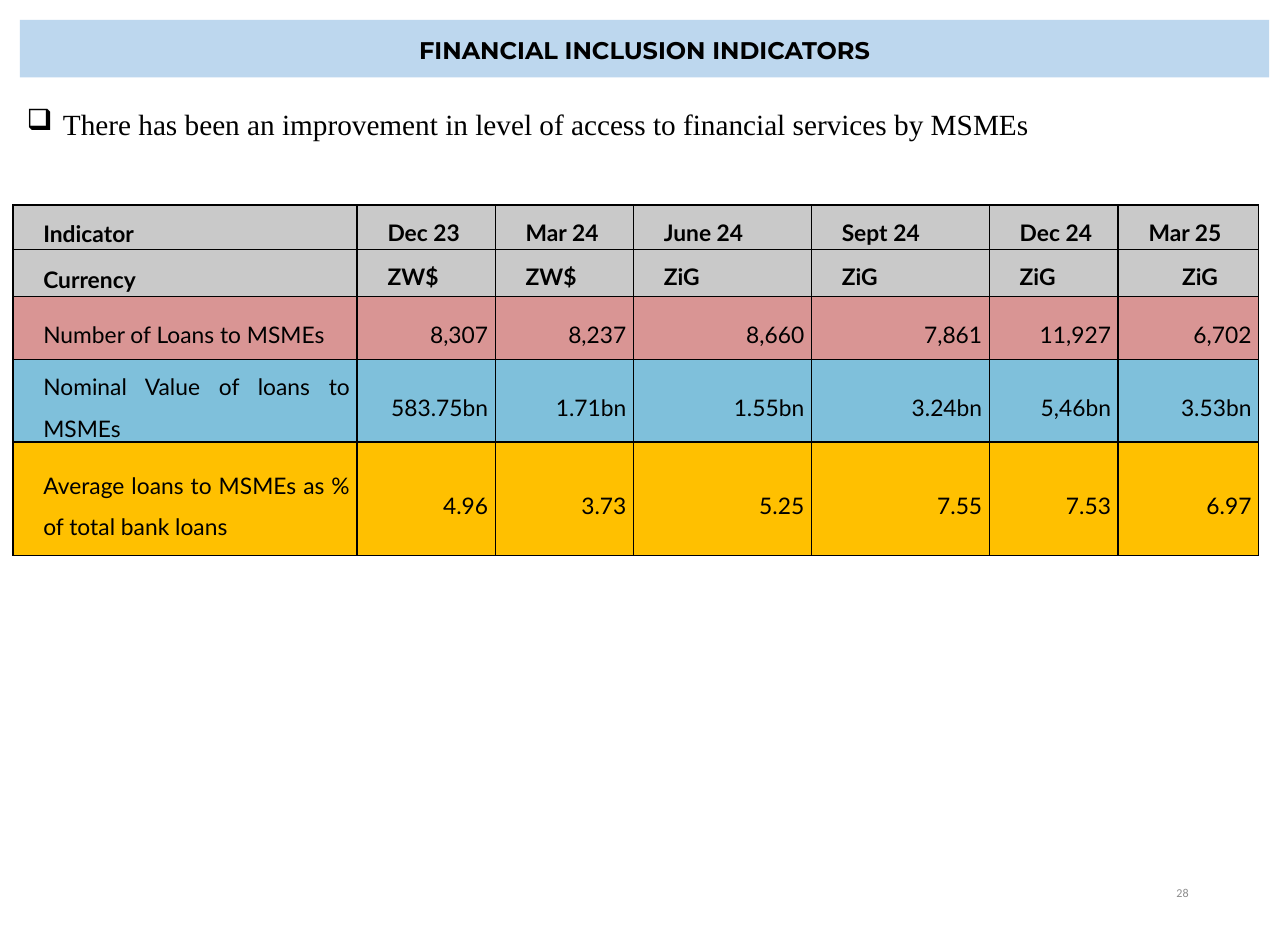
from dataclasses import dataclass

from lxml import etree
from pptx import Presentation
from pptx.dml.color import RGBColor
from pptx.enum.shapes import MSO_SHAPE
from pptx.enum.text import MSO_ANCHOR, PP_ALIGN
from pptx.oxml.ns import qn
from pptx.util import Inches, Pt

RECTANGLE = MSO_SHAPE.RECTANGLE
TOP, MIDDLE = MSO_ANCHOR.TOP, MSO_ANCHOR.MIDDLE
LEFT, CENTER = PP_ALIGN.LEFT, PP_ALIGN.CENTER
RIGHT, JUSTIFY = PP_ALIGN.RIGHT, PP_ALIGN.JUSTIFY


@dataclass(frozen=True)
class Theme:
    """Colours, fonts and type sizes of the slide."""
    black: str = "000000"
    muted: str = "8C8C8C"
    banner: str = "BDD7EE"
    header: str = "C9C9C9"
    loans: str = "D99594"
    value: str = "7FC0DB"
    share: str = "FFC000"
    title_font: str = "Montserrat"
    body_font: str = "Times New Roman"
    table_font: str = "Lato"
    number_font: str = "Calibri"
    title_size: float = 14.8
    body_size: float = 18
    table_size: float = 14
    number_size: float = 7.4


THEME = Theme()
COLUMN_WIDTHS = (2.94, 1.18, 1.18, 1.52, 1.52, 1.1, 1.2)
ROWS = (
    (0.38, THEME.header, ("Indicator", "Dec 23", "Mar 24", "June 24", "Sept 24", "Dec 24", "Mar 25")),
    (0.4, THEME.header, ("Currency", "ZW$", "ZW$", "ZiG", "ZiG", "ZiG", "ZiG")),
    (0.54, THEME.loans, ("Number of Loans to MSMEs", "8,307", "8,237", "8,660", "7,861", "11,927", "6,702")),
    (0.63, THEME.value, ("Nominal Value of loans to MSMEs", "583.75bn", "1.71bn", "1.55bn", "3.24bn",
                         "5,46bn", "3.53bn")),
    (0.97, THEME.share, ("Average loans to MSMEs as % of total bank loans", "4.96", "3.73", "5.25", "7.55",
                         "7.53", "6.97")),
)
HEADER_ROWS = 2


def set_fill(target, color):
    """Give a shape or cell a solid fill."""
    target.fill.solid()
    target.fill.fore_color.rgb = RGBColor.from_string(color)


def write(p, text, font, size, color=THEME.black, bold=False, align=LEFT, spacing=None, after=None):
    """Add one formatted run to a paragraph."""
    p.alignment = align
    if spacing is not None:
        p.line_spacing = spacing
    if after is not None:
        p.space_after = Pt(after)
    r = p.add_run()
    r.text = text
    r.font.name = font
    r.font.size = Pt(size)
    r.font.bold = bold
    r.font.color.rgb = RGBColor.from_string(color)


def indent(p, left, first=0, bullet=None):
    """Set a paragraph's indents and optional bullet."""
    pPr = p._p.get_or_add_pPr()
    pPr.set("marL", str(Inches(left)))
    pPr.set("indent", str(Inches(first)))
    if bullet:
        etree.SubElement(pPr, qn("a:buChar"), char=bullet)


def add_banner(s, text):
    """Add the title banner."""
    sp = s.shapes.add_shape(RECTANGLE, Inches(0.17), Inches(0.17), Inches(10.67), Inches(0.49))
    sp.shadow.inherit = False
    set_fill(sp, THEME.banner)
    sp.line.fill.background()
    tf = sp.text_frame
    tf.word_wrap = True
    tf.vertical_anchor = MIDDLE
    tf.margin_left = tf.margin_right = Inches(0.08)
    tf.margin_top = tf.margin_bottom = Inches(0.04)
    write(tf.paragraphs[0], text, THEME.title_font, THEME.title_size,
          bold=True, align=CENTER, spacing=1.1, after=1.8)


def add_text(s, left, top, width, height, anchor=TOP):
    """Add a wrapping text box and return its first paragraph."""
    tf = s.shapes.add_textbox(Inches(left), Inches(top), Inches(width), Inches(height)).text_frame
    tf.word_wrap = True
    tf.vertical_anchor = anchor
    return tf.paragraphs[0]


def add_borders(cell):
    """Draw a thin line on every side of a cell."""
    tcPr = cell._tc.get_or_add_tcPr()
    for side in ("lnL", "lnR", "lnT", "lnB"):
        ln = etree.SubElement(tcPr, qn(f"a:{side}"), w=str(Pt(1)))
        fill = etree.SubElement(ln, qn("a:solidFill"))
        etree.SubElement(fill, qn("a:srgbClr"), val=THEME.black)


def cell_align(row, col):
    """Return the text alignment for a table position."""
    if row == 1:
        return CENTER if col == len(COLUMN_WIDTHS) - 1 else LEFT
    return JUSTIFY if row == 0 or col == 0 else RIGHT


def fill_cell(cell, row, col, text, color):
    """Format one table cell and write its text."""
    add_borders(cell)
    set_fill(cell, color)
    cell.margin_left = cell.margin_right = Inches(0.06)
    cell.margin_top = cell.margin_bottom = 0
    is_header = row < HEADER_ROWS
    cell.vertical_anchor = TOP if is_header and col else MIDDLE
    p = cell.text_frame.paragraphs[0]
    indent(p, 0.2)
    write(p, text, THEME.table_font, THEME.table_size, bold=is_header,
          align=cell_align(row, col), spacing=1.51, after=1.2)


def add_indicator_table(s):
    """Add the table of lending indicators."""
    table = s.shapes.add_table(len(ROWS), len(COLUMN_WIDTHS), Inches(0.11), Inches(1.75),
                               Inches(10.65), Inches(2.94)).table
    table.first_row = table.horz_banding = False
    for column, width in zip(table.columns, COLUMN_WIDTHS):
        column.width = Inches(width)
    for row, (height, color, texts) in enumerate(ROWS):
        table.rows[row].height = Inches(height)
        for col, text in enumerate(texts):
            fill_cell(table.cell(row, col), row, col, text, color)


def main():
    """Build and save the slide."""
    prs = Presentation()
    prs.slide_width, prs.slide_height = Inches(11), Inches(8)
    s = prs.slides.add_slide(prs.slide_layouts[6])
    p = add_text(s, 7.77, 7.41, 2.48, 0.43, MIDDLE)
    write(p, "28", THEME.number_font, THEME.number_size, THEME.muted, align=RIGHT)
    add_banner(s, "FINANCIAL INCLUSION INDICATORS")
    add_indicator_table(s)
    p = add_text(s, 0.13, 0.71, 10.63, 0.5)
    indent(p, 0.31, -0.31, "❑")
    write(p, "There has been an improvement in level of access to financial services by MSMEs",
          THEME.body_font, THEME.body_size, align=JUSTIFY, spacing=1.5)
    prs.save("out.pptx")


if __name__ == "__main__":
    main()
